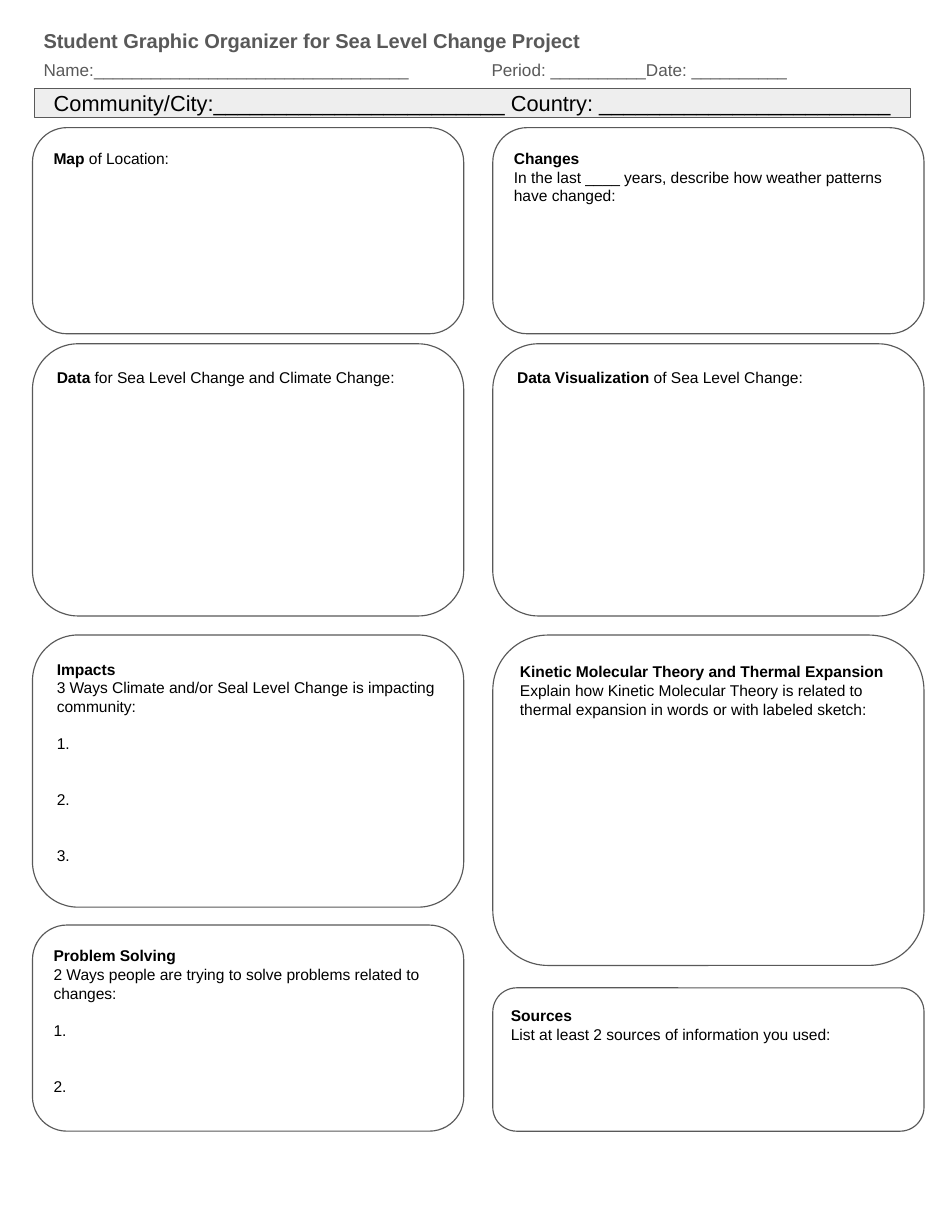
from pptx import Presentation
from pptx.dml.color import RGBColor
from pptx.enum.shapes import MSO_SHAPE as Kind
from pptx.enum.text import MSO_ANCHOR as Anchor, PP_ALIGN as Align
from pptx.util import Inches, Pt

GREY, BLACK, PALE = "595959", "000000", "EEEEEE"
LEFT, RIGHT, WIDE = 0.29, 4.4, 3.85

# left, top, height, lines of (bold, plain), count of numbered answers
PANELS = [
    (LEFT, 1.14, 1.84, [("Map", " of Location:")], 0),
    (RIGHT, 1.14, 1.84, [
        ("Changes", ""),
        ("", "In the last ____ years, describe how weather patterns have changed:")], 0),
    (LEFT, 3.07, 2.43, [("Data", " for Sea Level Change and Climate Change:")], 0),
    (RIGHT, 3.07, 2.43, [("Data Visualization", " of Sea Level Change:")], 0),
    (LEFT, 5.67, 2.43, [
        ("Impacts", ""),
        ("", "3 Ways Climate and/or Seal Level Change is impacting community:")], 3),
    (LEFT, 8.26, 1.84, [
        ("Problem Solving", ""),
        ("", "2 Ways people are trying to solve problems related to changes:")], 2),
    (RIGHT, 5.67, 2.95, [
        ("Kinetic Molecular Theory and Thermal Expansion", ""),
        ("", "Explain how Kinetic Molecular Theory is related to thermal "
             "expansion in words or with labeled sketch:")], 0),
    (RIGHT, 8.82, 1.28, [
        ("Sources", ""),
        ("", "List at least 2 sources of information you used:")], 0),
]


def color(code):
    return RGBColor.from_string(code)


def set_frame(shape, anchor=Anchor.TOP):
    frame = shape.text_frame
    frame.word_wrap = True
    frame.vertical_anchor = anchor
    frame.margin_left = frame.margin_right = Inches(0.1)
    frame.margin_top = frame.margin_bottom = Inches(0.1)
    return frame


def add_line(frame, first=False, gap=0, align=Align.LEFT):
    """Start a paragraph with a gap in points above it."""
    para = frame.paragraphs[0] if first else frame.add_paragraph()
    para.alignment = align
    para.space_before = Pt(gap)
    return para


def add_run(para, text, size=10, code=BLACK, bold=False):
    run = para.add_run()
    run.text = text
    run.font.name = "Arial"
    run.font.size = Pt(size)
    run.font.bold = bold
    run.font.color.rgb = color(code)


def add_box(slide, kind, left, top, width, height, fill=None):
    box = slide.shapes.add_shape(
        kind, Inches(left), Inches(top), Inches(width), Inches(height))
    box.shadow.inherit = False
    if fill:
        box.fill.solid()
        box.fill.fore_color.rgb = color(fill)
    else:
        box.fill.background()
    box.line.color.rgb = color(GREY)
    box.line.width = Pt(0.75)
    return box


def add_head(slide):
    box = slide.shapes.add_textbox(
        Inches(LEFT), Inches(0.2), Inches(7.92), Inches(0.86))
    frame = set_frame(box)
    title = add_line(frame, first=True)
    add_run(title, "Student Graphic Organizer for Sea Level Change Project",
            12.9, GREY, True)
    name = add_line(frame, gap=7)
    add_run(name, "Name:" + "_" * 33 + "\t\tPeriod: " + "_" * 10
            + "Date: " + "_" * 10, 11, GREY)
    for para in (title, name):
        para.line_spacing = 0.8


def add_panel(slide, left, top, height, lines, count):
    box = add_box(slide, Kind.ROUNDED_RECTANGLE, left, top, WIDE, height)
    box.adjustments[0] = 0.167
    frame = set_frame(box)
    for i, (bold, plain) in enumerate(lines):
        para = add_line(frame, first=i == 0)
        if bold:
            add_run(para, bold, bold=True)
        if plain:
            add_run(para, plain)
    for i in range(count):
        para = add_line(frame, gap=24 if i else 12)
        add_run(para, f"{i + 1}.")


def add_place(slide):
    box = add_box(slide, Kind.RECTANGLE, 0.31, 0.79, 7.82, 0.26, PALE)
    para = add_line(set_frame(box, Anchor.MIDDLE), first=True, align=Align.CENTER)
    blank = "_" * 24
    add_run(para, f"Community/City:{blank} Country: {blank}", 14)


def main():
    deck = Presentation()
    deck.slide_width, deck.slide_height = Inches(8.5), Inches(11)
    slide = deck.slides.add_slide(deck.slide_layouts[6])
    add_head(slide)
    for panel in PANELS:
        add_panel(slide, *panel)
    add_place(slide)
    deck.save("out.pptx")


if __name__ == "__main__":
    main()
